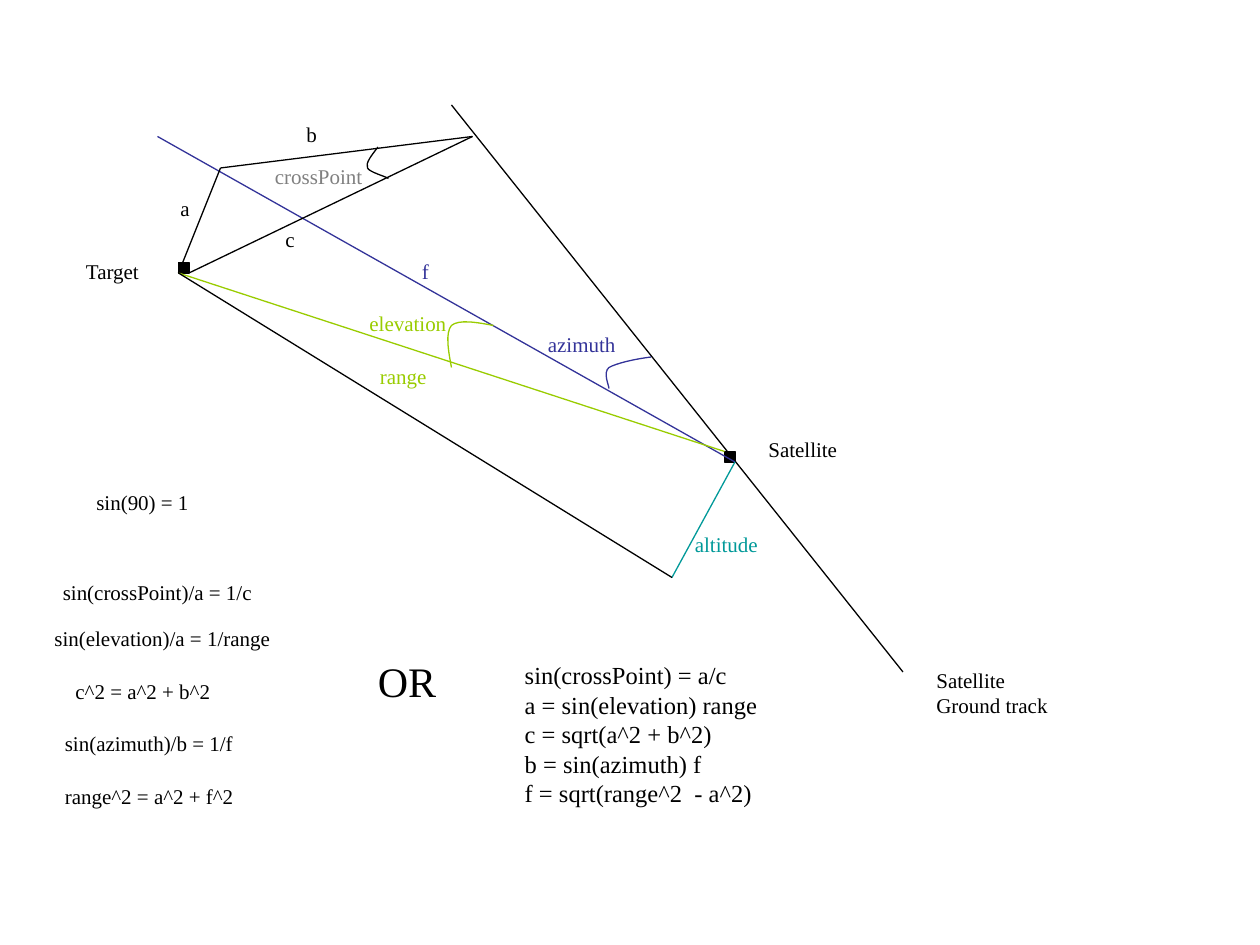
"""Draw the geometry between a satellite, its ground track and a target."""
from typing import NamedTuple

from lxml.etree import SubElement
from pptx import Presentation
from pptx.dml.color import RGBColor
from pptx.enum.shapes import MSO_CONNECTOR as Connector, MSO_SHAPE as Preset
from pptx.enum.text import MSO_AUTO_SIZE as AutoSize
from pptx.oxml.ns import qn
from pptx.util import Inches, Pt

CELLS_PER_INCH = 12
FONT = "Times New Roman"
BLACK, BLUE, GREEN, TEAL, GREY = "000000", "333399", "99CC00", "009999", "808080"
Point = tuple[float, float]


class Edge(NamedTuple):
    """A straight line between two grid points."""
    start: Point
    end: Point
    color: str = BLACK


class Arc(NamedTuple):
    """An angle mark: a start point, then three points per Bezier piece."""
    points: list[Point]
    color: str = BLACK


class Label(NamedTuple):
    """A text at a column and row, with its width in columns."""
    text: str
    column: float
    row: float
    width: float
    color: str = BLACK
    size: int = 12


TARGET, SATELLITE = (17, 26), (70, 44)
FOOT, CROSSING, CORNER = (64, 55), (45, 13), (21, 16)
MARKERS = [(17, 25), (69, 43)]

EDGES = [
    Edge((43, 10), (86, 64)),
    Edge((15, 13), SATELLITE, BLUE),
    Edge(TARGET, (69, 43), GREEN),
    Edge(SATELLITE, FOOT, TEAL),
    Edge(TARGET, CORNER),
    Edge(CORNER, CROSSING),
    Edge(TARGET, FOOT),
    Edge((18, 26), CROSSING),
]

ARCS = [
    Arc([(62, 34), (60.4, 34.2), (58.7, 34.6), (58, 35),
         (57.4, 35.5), (58, 36.7), (58, 37)], BLUE),
    Arc([(47, 31), (45.4, 30.7), (43.7, 30.4), (43, 31),
         (42.4, 31.7), (42.7, 33.4), (43, 35)], GREEN),
    Arc([(36, 14), (35.4, 14.8), (34.8, 15.5), (35, 16),
         (35.2, 16.4), (36.7, 16.8), (37, 17)]),
]

SOLUTION = "\n".join([
    "sin(crossPoint) = a/c",
    "a = sin(elevation) range",
    "c = sqrt(a^2 + b^2)",
    "b = sin(azimuth) f",
    "f = sqrt(range^2  - a^2)",
])

LABELS = [
    Label("Satellite\nGround track", 88, 63, 13.2),
    Label("Satellite", 72, 41, 9.2),
    Label("Target", 7, 24, 7.8),
    Label("azimuth", 51, 31, 9),
    Label("range", 35, 34, 7.1, GREEN),
    Label("elevation", 34, 29, 10, GREEN),
    Label("altitude", 65, 50, 8.7, TEAL),
    Label("crossPoint", 25, 15, 11, GREY),
    Label("a", 16, 18, 3.5),
    Label("b", 28, 11, 3.6),
    Label("c", 26, 21, 3.5),
    Label("f", 39, 24, 3.2, BLUE),
    Label("sin(90) = 1", 8, 46, 11.5),
    Label("sin(crossPoint)/a = 1/c", 4.8, 54.6, 20.7),
    Label("sin(elevation)/a = 1/range", 4, 59, 23.2),
    Label("c^2 = a^2 + b^2", 6, 64, 15.5),
    Label("sin(azimuth)/b = 1/f", 5, 69, 18.7),
    Label("range^2 = a^2 + f^2", 5, 74, 18.8),
    Label("OR", 34.8, 61.8, 8.2, size=24),
    Label(SOLUTION, 48.8, 62.3, 24.9, size=14),
]
LABELS[3] = LABELS[3]._replace(color=BLUE)


def cells(count: float) -> int:
    """Turn grid cells into a length."""
    return Inches(count / CELLS_PER_INCH)


def rgb(color: str) -> RGBColor:
    """Turn a hex string into a colour."""
    return RGBColor.from_string(color)


def set_line(shape, color: str) -> None:
    """Give a shape a thin line."""
    shape.line.color.rgb = rgb(color)
    shape.line.width = Pt(0.75)


def draw_marker(slide, corner: Point) -> None:
    """Draw a black square of one cell."""
    column, row = map(cells, corner)
    marker = slide.shapes.add_shape(Preset.RECTANGLE, column, row, cells(1), cells(1))
    marker.shadow.inherit = False
    marker.fill.solid()
    marker.fill.fore_color.rgb = rgb(BLACK)
    set_line(marker, BLACK)


def draw_edge(slide, edge: Edge) -> None:
    """Draw a straight line without shadow."""
    ends = map(cells, (*edge.start, *edge.end))
    line = slide.shapes.add_connector(Connector.STRAIGHT, *ends)
    set_line(line, edge.color)
    SubElement(line._element.spPr, qn("a:effectLst"))


def draw_arc(slide, arc: Arc) -> None:
    """Draw an open outline and bend each three segments into a Bezier piece."""
    first, *rest = [(cells(column), cells(row)) for column, row in arc.points]
    builder = slide.shapes.build_freeform(*first)
    builder.add_line_segments(rest, close=False)
    shape = builder.convert_to_shape()
    shape.shadow.inherit = False
    shape.fill.background()
    set_line(shape, arc.color)
    outline = next(shape._element.iter(qn("a:path")))
    segments = outline.findall(qn("a:lnTo"))
    for index in range(0, len(segments), 3):
        piece = SubElement(outline, qn("a:cubicBezTo"))
        for segment in segments[index:index + 3]:
            piece.append(segment[0])
            outline.remove(segment)


def draw_label(slide, label: Label) -> None:
    """Write a text in a box as high as its lines."""
    lines = label.text.count("\n") + 1
    height = Pt(lines * label.size * 1.2) + Inches(0.1)
    box = slide.shapes.add_textbox(
        cells(label.column), cells(label.row), cells(label.width), height)
    frame = box.text_frame
    frame.text = label.text
    frame.word_wrap = False
    frame.auto_size = AutoSize.SHAPE_TO_FIT_TEXT
    for para in frame.paragraphs:
        for span in para.runs:
            span.font.name = FONT
            span.font.size = Pt(label.size)
            span.font.color.rgb = rgb(label.color)


def main() -> None:
    """Build the slide and save the deck."""
    deck = Presentation()
    deck.slide_width, deck.slide_height = Inches(10), Inches(7.5)
    page = deck.slides.add_slide(deck.slide_layouts[6])
    for draw, items in ((draw_marker, MARKERS), (draw_edge, EDGES),
                        (draw_arc, ARCS), (draw_label, LABELS)):
        for item in items:
            draw(page, item)
    deck.save("out.pptx")


if __name__ == "__main__":
    main()
